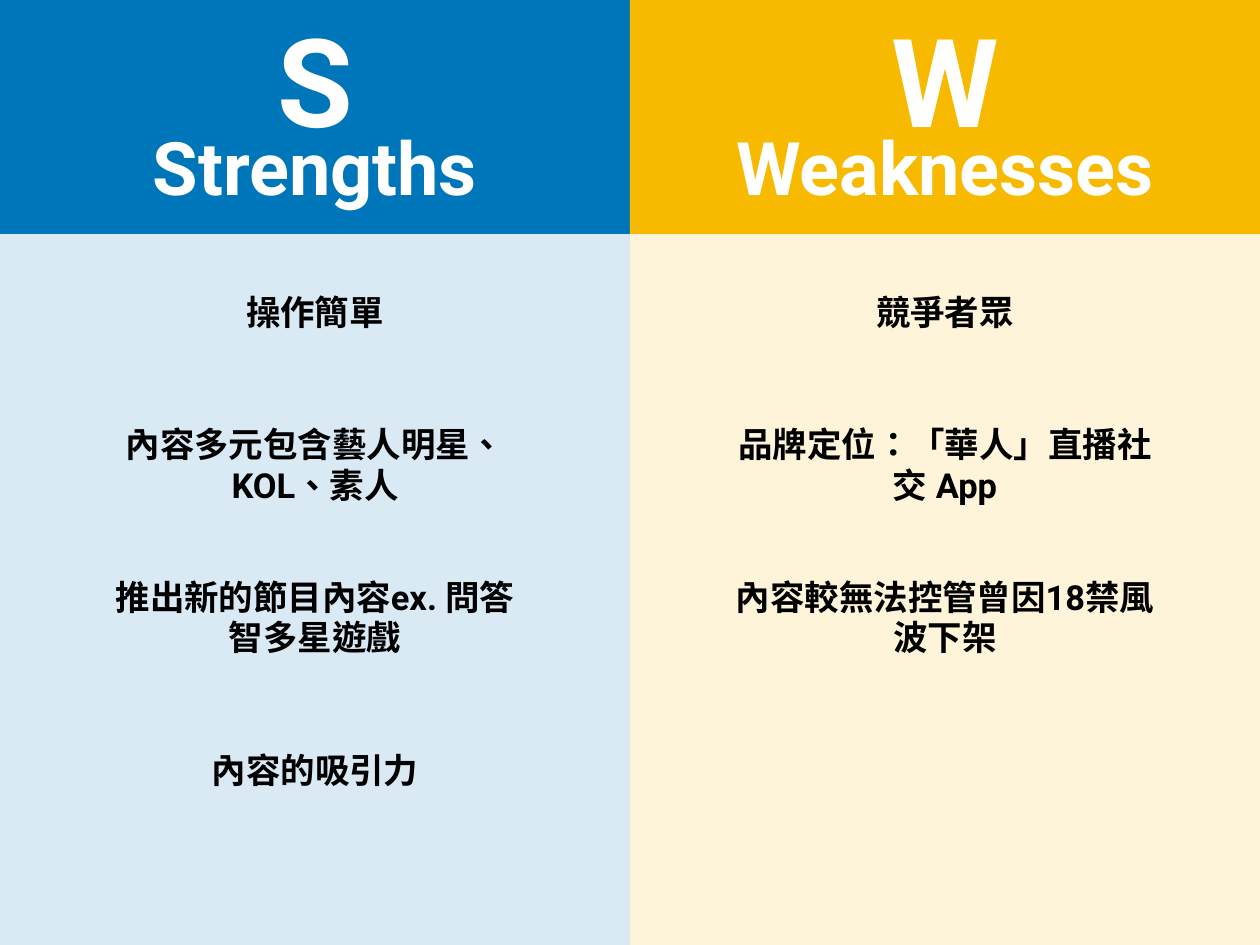
from dataclasses import dataclass

from lxml import etree
from pptx import Presentation
from pptx.dml.color import RGBColor
from pptx.enum.lang import MSO_LANGUAGE_ID
from pptx.enum.shapes import MSO_SHAPE
from pptx.enum.text import MSO_ANCHOR, MSO_AUTO_SIZE, PP_ALIGN
from pptx.oxml.ns import qn
from pptx.shapes.base import BaseShape
from pptx.slide import Slide
from pptx.text.text import TextFrame, _Paragraph
from pptx.util import Inches, Pt

RECTANGLE = MSO_SHAPE.RECTANGLE
MIDDLE = MSO_ANCHOR.MIDDLE
CENTER = PP_ALIGN.CENTER
FIT_SHAPE = MSO_AUTO_SIZE.SHAPE_TO_FIT_TEXT
CHINESE = MSO_LANGUAGE_ID.TRADITIONAL_CHINESE

BLUE = RGBColor(0x00, 0x76, 0xBA)
YELLOW = RGBColor(0xF7, 0xBA, 0x01)
WHITE = RGBColor(0xFF, 0xFF, 0xFF)
BLACK = RGBColor(0x00, 0x00, 0x00)

FONT = "Roboto"
PLAIN_TABLE = "{2D5ABB26-0587-4C30-8999-92F81FD0307C}"
SLIDE_W, SLIDE_H = 14.22, 10.67
COLUMN_W = SLIDE_W / 2
HEADER_H = 2.64
LETTER_TOP, LETTER_H = -0.01, 1.78
NAME_TOP, NAME_H = 1.32, 1.11
POINTS_TOP, POINTS_H, POINT_ROWS = 2.68, 6.89, 4
INSET = Inches(0.06)
TINT_PERCENT = 15


@dataclass(frozen=True)
class Quadrant:
    column: int
    letter: str
    letter_w: float
    name: str
    name_w: float
    color: RGBColor
    points_w: float
    points: tuple[str, ...]

    def centered(self, width: float) -> float:
        return (self.column + 0.5) * COLUMN_W - width / 2


QUADRANTS = (
    Quadrant(0, "S", 1.03, "Strengths", 3.99, BLUE, 4.91, (
        "操作簡單",
        "內容多元包含藝人明星、KOL、素人",
        "推出新的節目內容ex. 問答智多星遊戲",
        "內容的吸引力",
    )),
    Quadrant(1, "W", 1.44, "Weaknesses", 5.09, YELLOW, 5.07, (
        "競爭者眾",
        "品牌定位\uff1a「華人」直播社交 App",
        "內容較無法控管曾因18禁風波下架",
    )),
)


def add_run(paragraph: _Paragraph, text: str, size: float, color: RGBColor) -> None:
    paragraph.alignment = CENTER
    paragraph.line_spacing = 1.0
    paragraph.space_before = Pt(0)
    run = paragraph.add_run()
    run.text = text
    run.font.name = FONT
    run.font.size = Pt(size)
    run.font.bold = True
    run.font.color.rgb = color
    run.font.language_id = CHINESE
    etree.SubElement(run.font._element, qn("a:ea"), typeface=FONT)


def add_panel(slide: Slide, quadrant: Quadrant, height: float, percent: int = 100) -> None:
    panel = slide.shapes.add_shape(
        RECTANGLE, Inches(quadrant.column * COLUMN_W), 0, Inches(COLUMN_W), Inches(height))
    panel.shadow.inherit = False
    panel.line.fill.background()
    panel.fill.solid()
    panel.fill.fore_color.rgb = quadrant.color
    if percent < 100:
        tint = panel.element.spPr.find(f"{qn('a:solidFill')}/{qn('a:srgbClr')}")
        etree.SubElement(tint, qn("a:alpha"), val=str(percent * 1000))


def write_heading(box: BaseShape, text: str, size: float) -> None:
    frame: TextFrame = box.text_frame
    frame.margin_left = frame.margin_right = INSET
    frame.margin_top = frame.margin_bottom = INSET
    frame.vertical_anchor = MIDDLE
    frame.word_wrap = False
    frame.auto_size = FIT_SHAPE
    add_run(frame.paragraphs[0], text, size, WHITE)


def add_letter(slide: Slide, quadrant: Quadrant) -> None:
    letter = slide.shapes.add_textbox(
        Inches(quadrant.centered(quadrant.letter_w)), Inches(LETTER_TOP),
        Inches(quadrant.letter_w), Inches(LETTER_H))
    write_heading(letter, quadrant.letter, 100)


def place_name(slide: Slide, heading: BaseShape, quadrant: Quadrant) -> None:
    heading.left = Inches(quadrant.centered(quadrant.name_w))
    heading.top = Inches(NAME_TOP)
    heading.width = Inches(quadrant.name_w)
    heading.height = Inches(NAME_H)
    write_heading(heading, quadrant.name, 60)
    slide.shapes.element.append(heading.element)


def add_points(slide: Slide, quadrant: Quadrant) -> None:
    points = slide.shapes.add_table(
        POINT_ROWS, 1, Inches(quadrant.centered(quadrant.points_w)), Inches(POINTS_TOP),
        Inches(quadrant.points_w), Inches(POINTS_H)).table
    points.first_row = points.horz_banding = False
    points._tbl.tblPr.find(qn("a:tableStyleId")).text = PLAIN_TABLE
    for cell in points.iter_cells():
        cell.fill.background()
        cell.vertical_anchor = MIDDLE
        cell.margin_left = cell.margin_right = INSET
        cell.margin_top = cell.margin_bottom = INSET
    for row, point in enumerate(quadrant.points):
        add_run(points.cell(row, 0).text_frame.paragraphs[0], point, 28, BLACK)


def build() -> None:
    deck = Presentation()
    deck.slide_width, deck.slide_height = Inches(SLIDE_W), Inches(SLIDE_H)
    slide = deck.slides.add_slide(deck.slide_layouts.get_by_name("Comparison"))
    headings = list(slide.placeholders)
    for unused in headings[len(QUADRANTS):]:
        slide.shapes.element.remove(unused.element)

    for quadrant in QUADRANTS:
        add_panel(slide, quadrant, SLIDE_H, TINT_PERCENT)
        add_panel(slide, quadrant, HEADER_H)
    for quadrant, heading in zip(QUADRANTS, headings):
        add_letter(slide, quadrant)
        place_name(slide, heading, quadrant)
        add_points(slide, quadrant)
    deck.save("out.pptx")


build()
